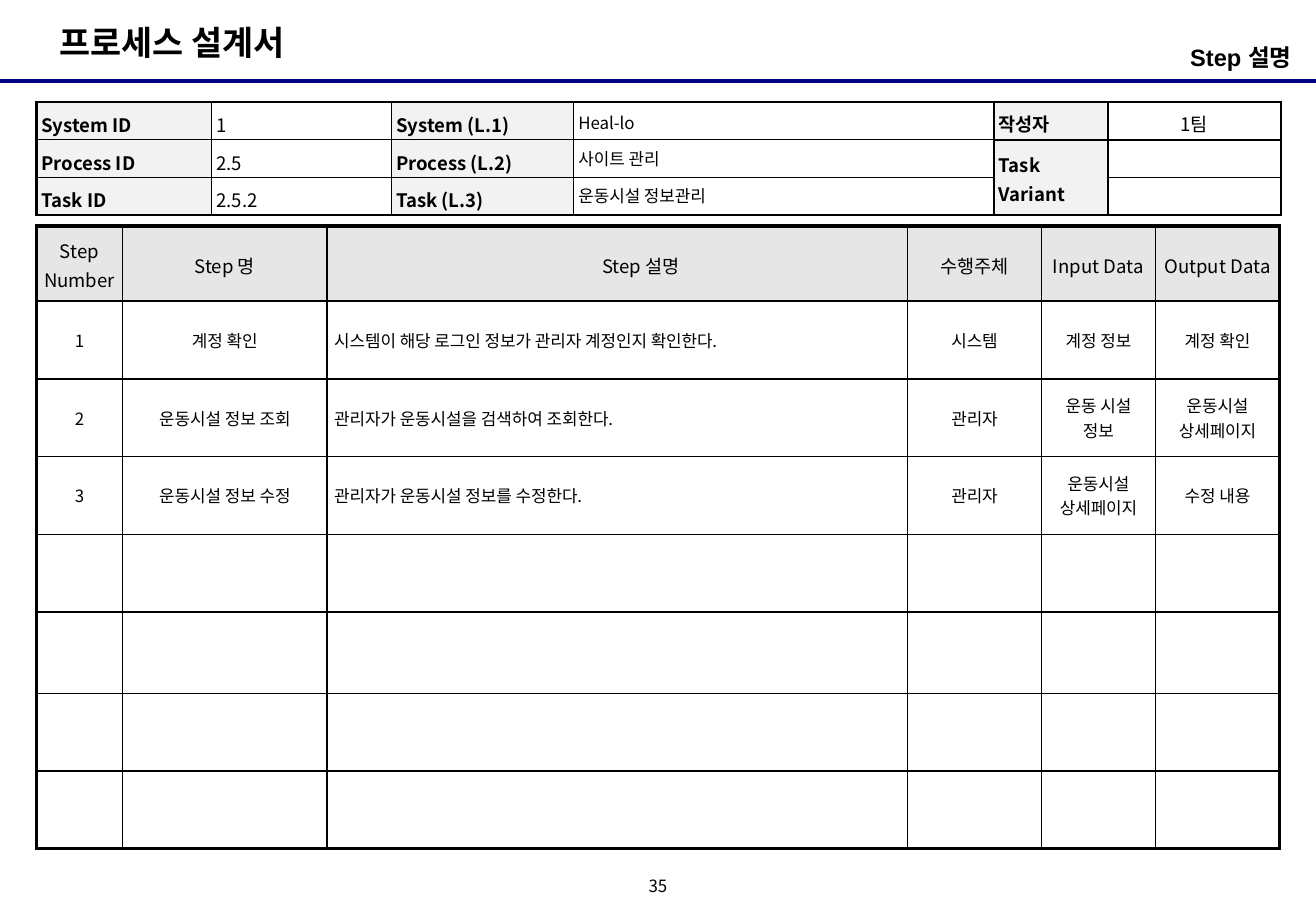
import lxml.etree
import pptx
import pptx.dml.color
import pptx.enum.shapes
import pptx.enum.text
import pptx.oxml.ns
import pptx.util

inch = pptx.util.Inches
points = pptx.util.Pt
tag = pptx.oxml.ns.qn
align = pptx.enum.text.PP_ALIGN
anchor = pptx.enum.text.MSO_ANCHOR
shade = pptx.dml.color.RGBColor.from_string

theme = {
    "ink": "000000", "rule": "000080", "label": "F2F2F2", "head": "E6E6E6",
    "font": "Noto Sans CJK KR", "latin": "Arial",
    "title": 20, "topic": 14, "strong": 11, "text": 10,
}


def write(frame, text, size, bold=False, side=align.LEFT, font=theme["font"], space=1.0):
    frame.text = text
    for para in frame.paragraphs:
        para.alignment = side
        para.line_spacing = space
        para.font.size = points(size)
        para.font.bold = bold
        para.font.name = font
        para.font.color.rgb = shade(theme["ink"])
        style = para._p.pPr.find(tag("a:defRPr"))
        lxml.etree.SubElement(style, tag("a:ea"), typeface=theme["font"])
        if not text:
            lxml.etree.SubElement(para._p, tag("a:endParaRPr"), sz=str(size * 100))


def border(cell, sides):
    props = cell._tc.get_or_add_tcPr()
    for spot, (name, width) in enumerate(sides.items()):
        line = lxml.etree.Element(tag("a:" + name), w=str(points(width)))
        fill = lxml.etree.SubElement(line, tag("a:solidFill"))
        lxml.etree.SubElement(fill, tag("a:srgbClr"), val=theme["ink"])
        props.insert(spot, line)


deck = pptx.Presentation()
deck.slide_width, deck.slide_height = inch(10.83), inch(7.5)
slide = deck.slides.add_slide(deck.slide_layouts[6])
shapes = slide.shapes

rule = shapes.add_connector(
    pptx.enum.shapes.MSO_CONNECTOR.STRAIGHT, 0, inch(0.67), deck.slide_width, inch(0.67))
rule.line.color.rgb = shade(theme["rule"])
rule.line.width = points(2.25)
lxml.etree.SubElement(rule._element.spPr, tag("a:effectLst"))

labels = [
    ("프로세스 설계서", (0.39, 0.13, 2.26, 0.44), (0.1, 0.05, 0.1), "title", True, align.LEFT, "font"),
    ("Step 설명", (7.39, 0.28, 3.31, 0.39), (0, 0.07, 0.07), "topic", True, align.RIGHT, "latin"),
    ("35", (5.25, 7.17, 0.33, 0.25), (0, 0, 0), "text", False, align.CENTER, "font"),
]
for text, place, (left, top, right), size, bold, side, font in labels:
    frame = shapes.add_textbox(*map(inch, place)).text_frame
    frame.word_wrap = True
    frame.margin_left, frame.margin_top, frame.margin_right = map(inch, (left, top, right))
    frame.margin_bottom = 0
    if text == "35":
        frame.vertical_anchor = anchor.MIDDLE
    write(frame, text, theme[size], bold, side, theme[font])

facts = [
    ["System ID", "1", "System (L.1)", "Heal-lo", "작성자", "1팀"],
    ["Process ID", "2.5", "Process (L.2)", "사이트 관리", "Task Variant", ""],
    ["Task ID", "2.5.2", "Task (L.3)", "운동시설 정보관리", "", ""],
]
steps = [
    ["Step Number", "Step 명", "Step 설명", "수행주체", "Input Data", "Output Data"],
    ["1", "계정 확인", "시스템이 해당 로그인 정보가 관리자 계정인지 확인한다.", "시스템", "계정 정보", "계정 확인"],
    ["2", "운동시설 정보 조회", "관리자가 운동시설을 검색하여 조회한다.", "관리자", "운동 시설\n정보", "운동시설 상세페이지"],
    ["3", "운동시설 정보 수정", "관리자가 운동시설 정보를 수정한다.", "관리자", "운동시설 상세페이지", "수정 내용"],
] + [[""] * 6] * 4

grids = [
    (facts, 0.84, [1.44, 1.48, 1.5, 3.46, 0.94, 1.42], [0.31] * 3, 1.5),
    (steps, 1.86, [0.71, 1.68, 4.78, 1.1, 0.94, 1.02], [0.62] + [0.64] * 4 + [0.67] + [0.64] * 2, 2.25),
]
for data, top, widths, heights, edge in grids:
    table = shapes.add_table(
        len(heights), len(widths), inch(0.3), inch(top), inch(sum(widths)), inch(sum(heights))).table
    table.first_row = table.horz_banding = False
    for column, width in zip(table.columns, widths):
        column.width = inch(width)
    for row, height in zip(table.rows, heights):
        row.height = inch(height)
    brief = data is facts
    if brief:
        table.cell(1, 4).merge(table.cell(2, 4))

    for r, row in enumerate(data):
        for c, text in enumerate(row):
            cell = table.cell(r, c)
            label = brief and c % 2 == 0
            head = not brief and r == 0
            if label or head:
                cell.fill.solid()
                cell.fill.fore_color.rgb = shade(theme["label" if label else "head"])
            else:
                cell.fill.background()
            split = brief and c > 3
            border(cell, {
                "lnL": edge if c == 0 else 1,
                "lnR": edge if c == len(widths) - 1 else 1,
                "lnT": edge if r == 0 or split and r == 1 else 1,
                "lnB": edge if r + cell.span_height >= len(data) or split and r == 0 else 1,
            })
            if cell.is_spanned:
                continue
            cell.margin_left = cell.margin_right = inch(0.04 if brief else 0.06)
            cell.margin_top = inch(0.05 if brief and c < 4 else 0.04)
            cell.margin_bottom = inch(0.04)
            if head and c == 2:
                cell.margin_left = inch(0.45)
            if split or not brief:
                cell.vertical_anchor = anchor.MIDDLE
            small = c == 3 if brief else not head
            middle = c == 5 if brief else head or c != 2
            write(cell.text_frame, text, theme["text" if small or not text else "strong"], label,
                  align.CENTER if middle else align.LEFT,
                  space=1.1 if head or brief and not (c == 3 and r) else 1.0)

deck.save("out.pptx")
